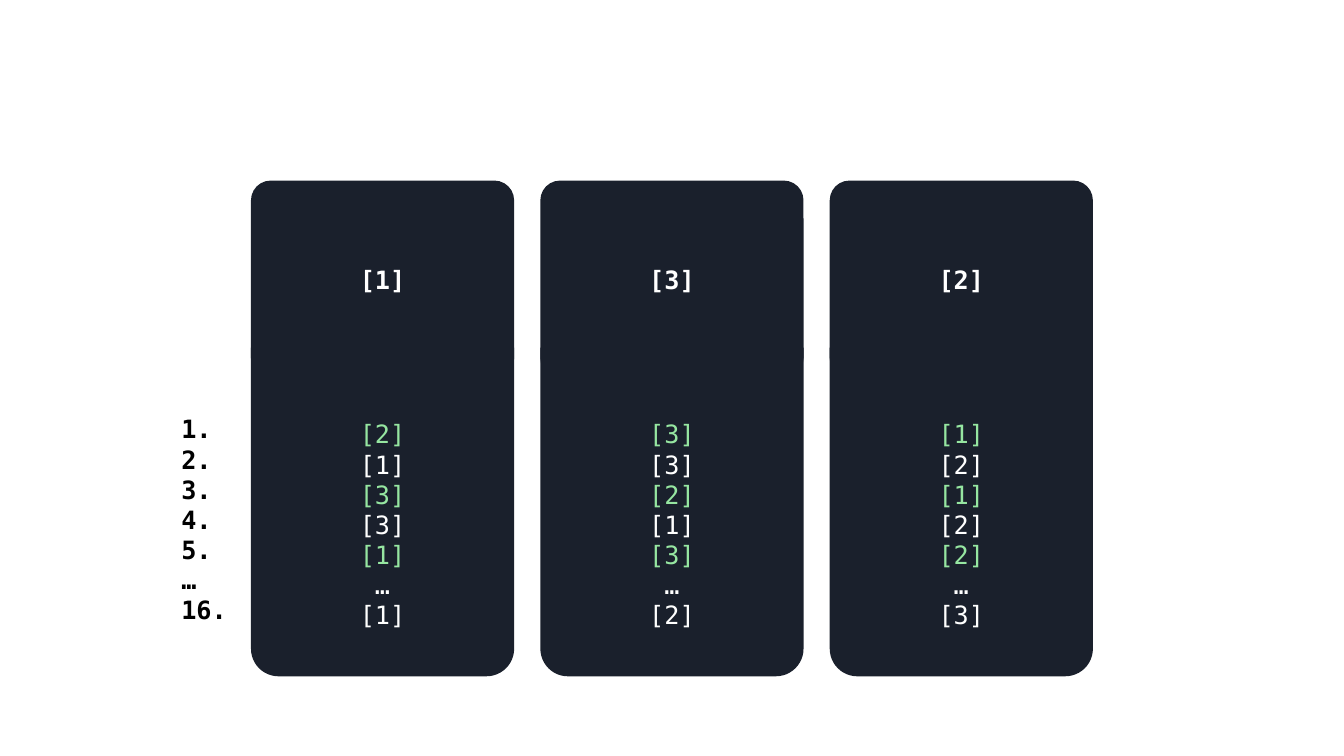
from pptx import Presentation
from pptx.dml.color import RGBColor
from pptx.enum.shapes import MSO_SHAPE as Preset
from pptx.enum.text import MSO_ANCHOR as Anchor, PP_ALIGN as Align
from pptx.util import Pt

NAVY = RGBColor(0x1A, 0x20, 0x2C)
GREEN = RGBColor(0x96, 0xE6, 0xA1)
WHITE = RGBColor(0xFF, 0xFF, 0xFF)
BLACK = RGBColor(0x00, 0x00, 0x00)

# Column layout in points
COLUMN_LEFT, COLUMN_PITCH, COLUMN_WIDTH = 179.3, 206.7, 188
HEADER_TOP, HEADER_HEIGHT = 129, 141
BODY_TOP, BODY_HEIGHT = 248.4, 234.7

ROW_LABELS = ["1.", "2.", "3.", "4.", "5.", "…", "16."]
ROW_COLORS = [GREEN, WHITE, GREEN, WHITE, GREEN, WHITE, WHITE]
COLUMNS = [
    ("[1]", ["[2]", "[1]", "[3]", "[3]", "[1]", "…", "[1]"]),
    ("[3]", ["[3]", "[3]", "[2]", "[1]", "[3]", "…", "[2]"]),
    ("[2]", ["[1]", "[2]", "[1]", "[2]", "[2]", "…", "[3]"]),
]


class SlideBuilder:
    font_name = "DejaVu Sans Mono"
    font_size = Pt(18)
    line_height = Pt(21.55)

    def __init__(self, slide):
        self.slide = slide

    def add_lines(self, shape, lines, colors, align, bold, **frame_format):
        frame = shape.text_frame
        frame.word_wrap = True
        for name, value in frame_format.items():
            setattr(frame, name, value)
        font_format = {"name": self.font_name, "size": self.font_size, "bold": bold}
        for index, (line, color) in enumerate(zip(lines, colors)):
            paragraph = frame.add_paragraph() if index else frame.paragraphs[0]
            paragraph.alignment = align
            paragraph.line_spacing = self.line_height
            run = paragraph.add_run()
            run.text = line
            for name, value in font_format.items():
                setattr(run.font, name, value)
            run.font.color.rgb = color

    def card(self, preset, left, top, height, corners):
        shape = self.slide.shapes.add_shape(
            preset, Pt(left), Pt(top), Pt(COLUMN_WIDTH), Pt(height))
        for index, corner in enumerate(corners):
            shape.adjustments[index] = corner
        shape.shadow.inherit = False
        shape.fill.solid()
        shape.fill.fore_color.rgb = NAVY
        shape.line.fill.background()
        return shape

    def body(self, left, lines):
        shape = self.card(Preset.ROUND_2_SAME_RECTANGLE, left, BODY_TOP,
                          BODY_HEIGHT, [0, 0.105])
        self.add_lines(shape, lines, ROW_COLORS, Align.CENTER, False,
                       vertical_anchor=Anchor.TOP, margin_top=Pt(50.8),
                       margin_left=Pt(34.6), margin_right=Pt(34.6),
                       margin_bottom=Pt(0))

    def header(self, left, title):
        shape = self.card(Preset.ROUNDED_RECTANGLE, left, HEADER_TOP,
                          HEADER_HEIGHT, [0.1])
        self.add_lines(shape, [title], [WHITE], Align.CENTER, True,
                       vertical_anchor=Anchor.MIDDLE)

    def labels(self, left, top, width, height, lines):
        box = self.slide.shapes.add_textbox(Pt(left), Pt(top), Pt(width), Pt(height))
        self.add_lines(box, lines, [BLACK] * len(lines), Align.LEFT, True,
                       margin_top=Pt(25.6))


def main():
    presentation = Presentation()
    presentation.slide_width, presentation.slide_height = Pt(960), Pt(540)
    builder = SlideBuilder(presentation.slides.add_slide(presentation.slide_layouts[6]))
    lefts = [COLUMN_LEFT + index * COLUMN_PITCH for index in range(len(COLUMNS))]

    # Column bodies and row labels
    for left, (_, lines) in zip(lefts, COLUMNS):
        builder.body(left, lines)
    builder.labels(122.4, 270, 57, 204, ROW_LABELS)

    # Headers overlap the tops of the bodies
    for left, (title, _) in zip(lefts, COLUMNS):
        builder.header(left, title)

    presentation.save("out.pptx")


if __name__ == "__main__":
    main()
